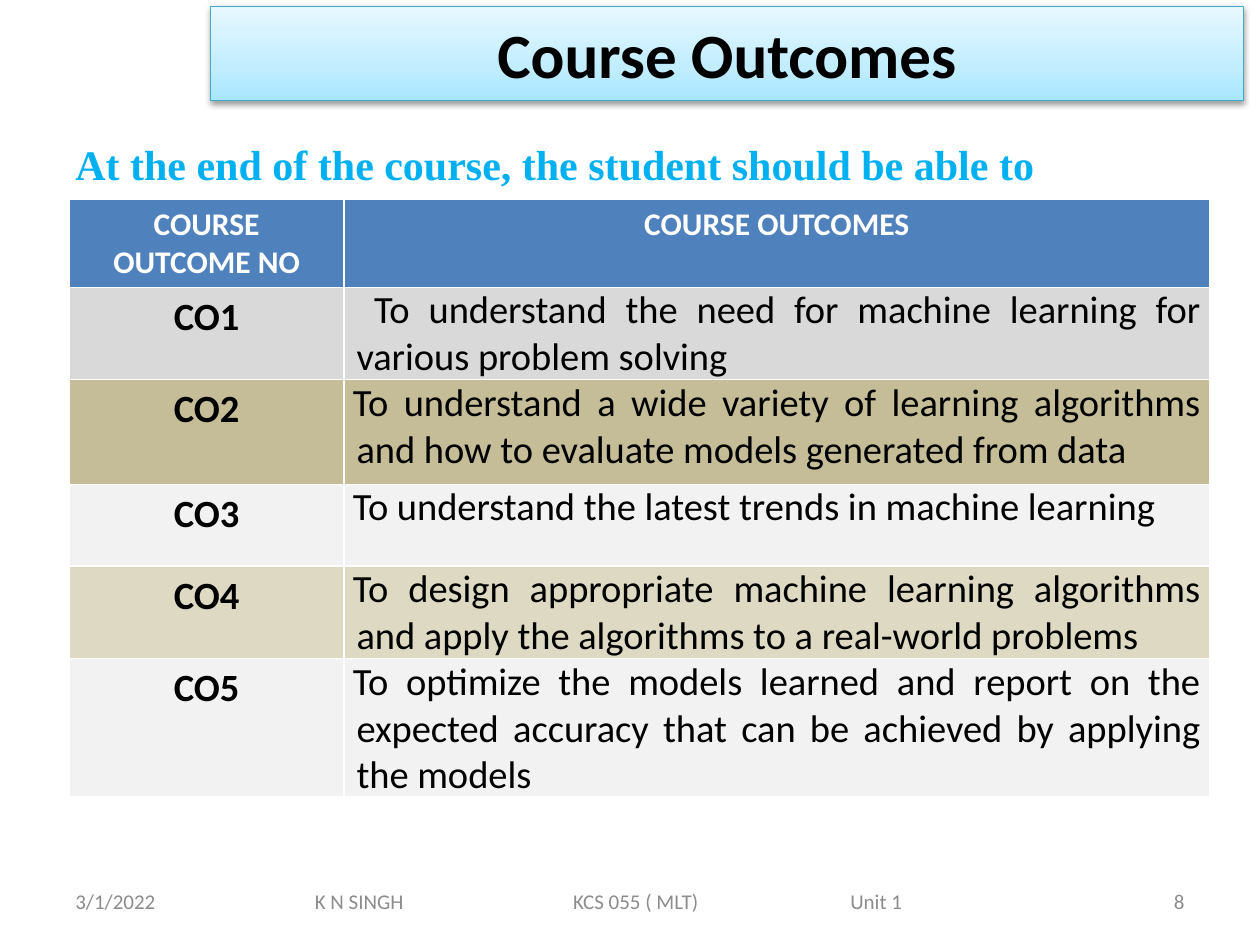
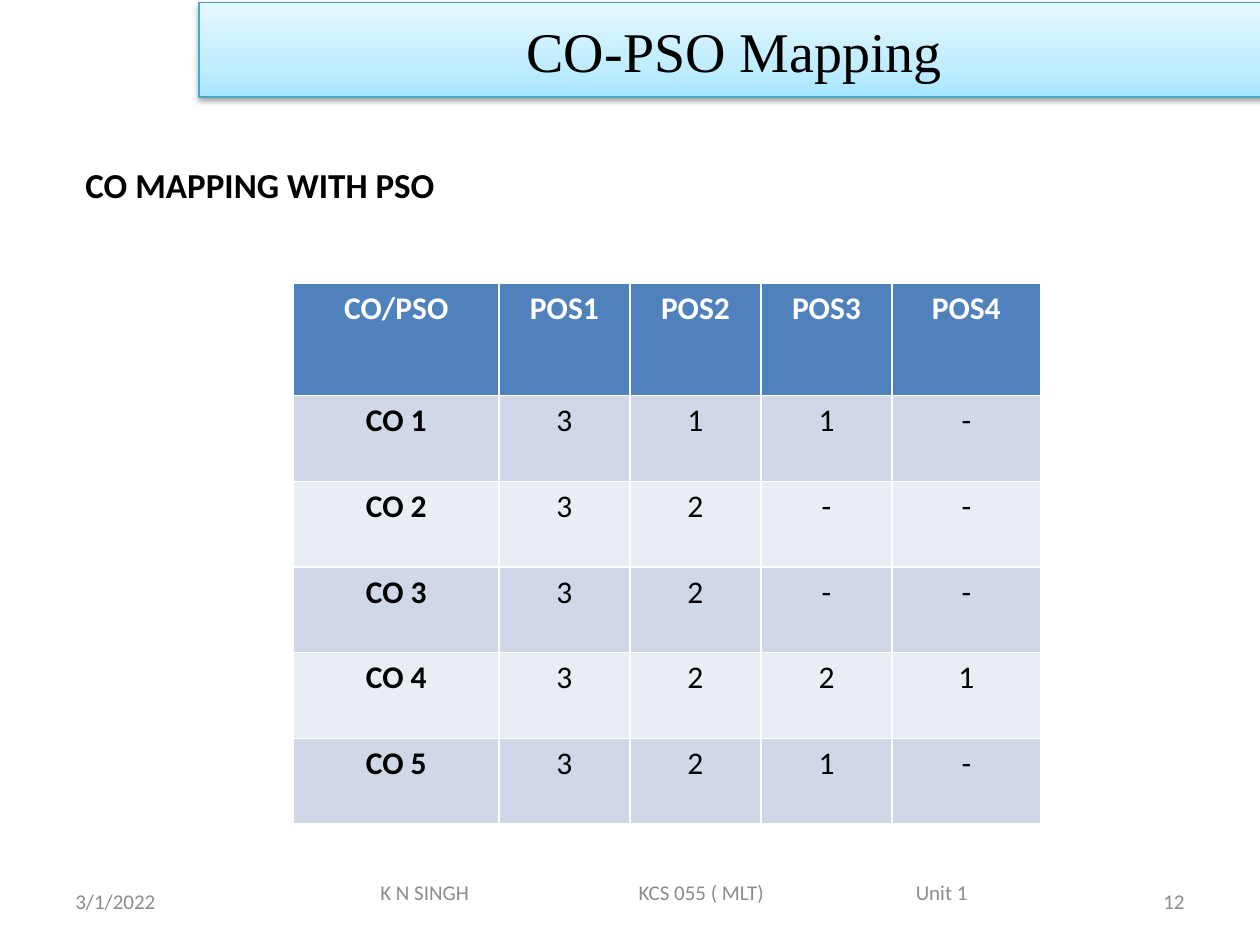
import pptx
import pptx.dml.color
import pptx.enum.shapes
import pptx.enum.text
import pptx.oxml
import pptx.oxml.ns
import pptx.util

Inches = pptx.util.Inches
RGBColor = pptx.dml.color.RGBColor
ALIGN = pptx.enum.text.PP_ALIGN
ANCHOR = pptx.enum.text.MSO_ANCHOR

BLACK = RGBColor(0x00, 0x00, 0x00)
WHITE = RGBColor(0xFF, 0xFF, 0xFF)
GREY = RGBColor(0x8C, 0x8C, 0x8C)
SKY = RGBColor(0x00, 0xB0, 0xF0)
BAND_LINE = RGBColor(0x46, 0xAA, 0xC5)
HEADER = RGBColor(0x4F, 0x81, 0xBD)
SILVER = RGBColor(0xD9, 0xD9, 0xD9)
KHAKI = RGBColor(0xC4, 0xBD, 0x97)
PALE_GREY = RGBColor(0xF2, 0xF2, 0xF2)
PALE_KHAKI = RGBColor(0xDD, 0xD9, 0xC3)
BLUE_TINT = RGBColor(0xD0, 0xD8, 0xE8)
PALE_BLUE = RGBColor(0xE9, 0xED, 0xF4)

NS = pptx.oxml.ns.nsdecls("a")
BAND_FILL = (
    f'<a:gradFill {NS} rotWithShape="1"><a:gsLst>'
    '<a:gs pos="0"><a:srgbClr val="A7E6FF"/></a:gs>'
    '<a:gs pos="35000"><a:srgbClr val="C1EDFF"/></a:gs>'
    '<a:gs pos="100000"><a:srgbClr val="E7F8FF"/></a:gs>'
    '</a:gsLst><a:lin ang="16200000" scaled="1"/></a:gradFill>')
BAND_SHADOW = (
    f'<a:effectLst {NS}><a:outerShdw blurRad="40000" dist="20000" dir="5400000" '
    'rotWithShape="0"><a:srgbClr val="000000"><a:alpha val="38000"/></a:srgbClr>'
    '</a:outerShdw></a:effectLst>')
FOOTER_TABS = f'<a:tabLst {NS}>' + "".join(
    f'<a:tab pos="{Inches(x)}" algn="l"/>' for x in (2.05, 4.25)) + '</a:tabLst>'


def write(tf, text, size, color, font="Calibri", bold=False, align=ALIGN.LEFT):
    tf.word_wrap = True
    tf.text = text
    p = tf.paragraphs[0]
    p.alignment = align
    for r in p.runs:
        r.font.size = pptx.util.Pt(size)
        r.font.name = font
        r.font.bold = bold
        r.font.color.rgb = color
    return p


def add_text(s, box, text, size, color, anchor=ANCHOR.MIDDLE, **style):
    tf = s.shapes.add_textbox(*map(Inches, box)).text_frame
    tf.vertical_anchor = anchor
    return write(tf, text, size, color, **style)


SLIDES = [
    dict(
        number="8", band=(1.67, 0.05, 8.2, 0.75), footer=(2.4, 6.95, 6, 0.4),
        title=("Course Outcomes", 36, BLACK, "Calibri", True),
        heading_box=(0.5, 1.05, 8.3, 0.5),
        heading=("At the end of the course, the student should be able to", 24, SKY),
        heading_font="Times New Roman",
        table_at=(0.55, 1.58), cols=(2.18, 6.87), body_size=22,
        heights=(0.7, 0.73, 0.83, 0.65, 0.73, 1.1),
        fills=(SILVER, KHAKI, PALE_GREY, PALE_KHAKI, PALE_GREY),
        rows=[
            ("COURSE OUTCOME NO", "COURSE OUTCOMES"),
            ("CO1", "To understand the need for machine learning for various problem solving"),
            ("CO2", "To understand a wide variety of learning algorithms and how to "
                    "evaluate models generated from data"),
            ("CO3", "To understand the latest trends in machine learning"),
            ("CO4", "To design appropriate machine learning algorithms and apply the "
                    "algorithms to a real-world problems"),
            ("CO5", "To optimize the models learned and report on the expected accuracy "
                    "that can be achieved by applying the models"),
        ]),
    dict(
        number="12", band=(1.58, 0.02, 8.5, 0.75), footer=(2.92, 6.92, 6, 0.32),
        title=("CO-PSO Mapping", 32, BLACK, "Times New Roman"),
        heading_box=(0.58, 1.25, 9, 0.5),
        heading=("CO MAPPING WITH PSO", 20, BLACK), heading_font="Calibri",
        table_at=(2.33, 2.25), cols=(1.63, 1.04, 1.04, 1.04, 1.18), body_size=18,
        heights=(0.89,) + (0.68,) * 5,
        fills=(BLUE_TINT, PALE_BLUE, BLUE_TINT, PALE_BLUE, BLUE_TINT),
        rows=[
            ("CO/PSO", "POS1", "POS2", "POS3", "POS4"),
            ("CO 1", "3", "1", "1", "-"),
            ("CO 2", "3", "2", "-", "-"),
            ("CO 3", "3", "2", "-", "-"),
            ("CO 4", "3", "2", "2", "1"),
            ("CO 5", "3", "2", "1", "-"),
        ]),
]

prs = pptx.Presentation()
prs.slide_width = Inches(10)
prs.slide_height = Inches(7.5)

for d in SLIDES:
    s = prs.slides.add_slide(prs.slide_layouts[6])

    # Title band
    sp = s.shapes.add_shape(pptx.enum.shapes.MSO_SHAPE.RECTANGLE, *map(Inches, d["band"]))
    sp.line.color.rgb = BAND_LINE
    sp.line.width = pptx.util.Pt(0.75)
    spPr = sp._element.spPr
    spPr.find(pptx.oxml.ns.qn("a:prstGeom")).addnext(pptx.oxml.parse_xml(BAND_FILL))
    spPr.append(pptx.oxml.parse_xml(BAND_SHADOW))
    sp.text_frame.vertical_anchor = ANCHOR.MIDDLE
    write(sp.text_frame, *d["title"], align=ALIGN.CENTER)

    # Heading
    add_text(s, d["heading_box"], *d["heading"], anchor=ANCHOR.TOP,
             font=d["heading_font"], bold=True)

    # Table
    rows, cols = d["rows"], d["cols"]
    table = s.shapes.add_table(len(rows), len(cols), *map(Inches, d["table_at"]),
                               Inches(sum(cols)), Inches(sum(d["heights"]))).table
    for col, width in zip(table.columns, cols):
        col.width = Inches(width)
    for row, height in zip(table.rows, d["heights"]):
        row.height = Inches(height)
    for i, values in enumerate(rows):
        for j, value in enumerate(values):
            cell = table.cell(i, j)
            cell.fill.solid()
            cell.fill.fore_color.rgb = d["fills"][i - 1] if i else HEADER
            p = write(cell.text_frame, value, d["body_size"] if i else 18,
                      BLACK if i else WHITE, bold=i == 0 or j == 0, align=ALIGN.CENTER)
            # Outcome sentences are justified, with the first line offset
            if i and len(cols) == 2 and j == 1:
                p.alignment = ALIGN.JUSTIFY
                cell.margin_left = cell.margin_right = Inches(0.07)
                cell.margin_top = cell.margin_bottom = 0
                pPr = p._p.get_or_add_pPr()
                pPr.set("marL", str(Inches(0.03)))
                pPr.set("indent", str(Inches(0.14 if i == 1 else -0.03)))

    # Footer
    add_text(s, (0.5, 6.95, 2.33, 0.4), "3/1/2022", 12, GREY)
    p = add_text(s, d["footer"], "K N SINGH\tKCS 055 ( MLT)\tUnit 1", 12, GREY)
    p._p.get_or_add_pPr().append(pptx.oxml.parse_xml(FOOTER_TABS))
    add_text(s, (7.17, 6.95, 2.33, 0.4), d["number"], 12, GREY, align=ALIGN.RIGHT)

prs.save("out.pptx")
